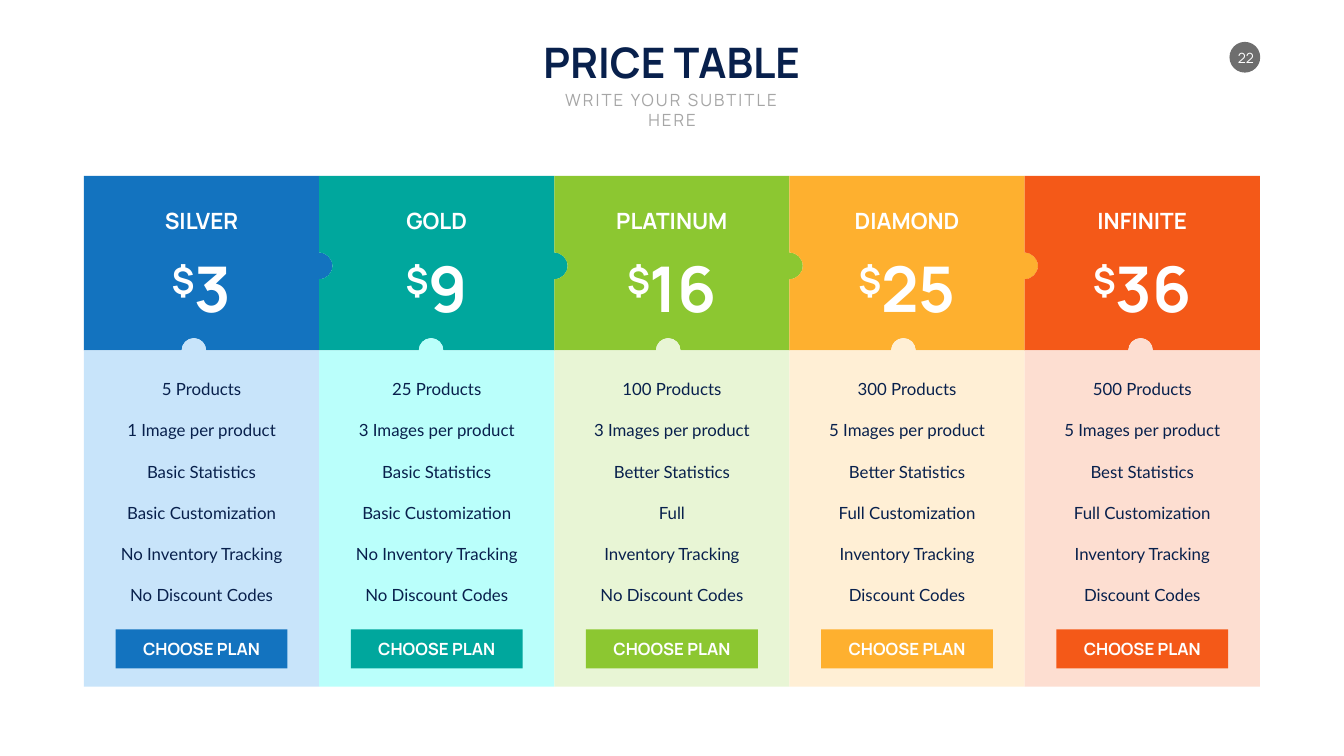
from math import cos, radians, sin

from lxml.etree import Element
from pptx import Presentation
from pptx.dml.color import RGBColor
from pptx.enum.shapes import MSO_SHAPE
from pptx.enum.text import MSO_ANCHOR, MSO_AUTO_SIZE, PP_ALIGN
from pptx.oxml.ns import qn
from pptx.util import Cm, Pt

# Content
TITLE = "PRICE TABLE"
SUBTITLE = "WRITE YOUR SUBTITLE HERE"
PAGE_NUMBER = "22"
BUTTON = "CHOOSE PLAN"

# Colours and fonts
NAVY = RGBColor(0x08, 0x20, 0x4C)
GRAY = RGBColor(0xA6, 0xA6, 0xA6)
DARK_GRAY = RGBColor(0x6E, 0x6E, 0x6E)
WHITE = RGBColor(0xFF, 0xFF, 0xFF)
BLUE = RGBColor(0x13, 0x73, 0xBF)
PALE_BLUE = RGBColor(0xC8, 0xE4, 0xFA)
TEAL = RGBColor(0x00, 0xA7, 0x9D)
PALE_TEAL = RGBColor(0xBA, 0xFF, 0xFB)
GREEN = RGBColor(0x8C, 0xC7, 0x31)
PALE_GREEN = RGBColor(0xE8, 0xF5, 0xD5)
AMBER = RGBColor(0xFE, 0xB0, 0x2F)
PALE_AMBER = RGBColor(0xFF, 0xEF, 0xD5)
ORANGE = RGBColor(0xF4, 0x59, 0x18)
PALE_ORANGE = RGBColor(0xFD, 0xDE, 0xD1)
HEADING_FONT, BODY_FONT = "Manrope", "Lato"

# Name, price, header colour, panel colour, knob offset in cm, features
PLANS = [
    ("SILVER", "3", BLUE, PALE_BLUE, 5.54,
     ["5 Products", "1 Image per product", "Basic Statistics",
      "Basic Customization", "No Inventory Tracking", "No Discount Codes"]),
    ("GOLD", "9", TEAL, PALE_TEAL, 5.64,
     ["25 Products", "3 Images per product", "Basic Statistics",
      "Basic Customization", "No Inventory Tracking", "No Discount Codes"]),
    ("PLATINUM", "16", GREEN, PALE_GREEN, 5.74,
     ["100 Products", "3 Images per product", "Better Statistics",
      "Full", "Inventory Tracking", "No Discount Codes"]),
    ("DIAMOND", "25", AMBER, PALE_AMBER, 5.74,
     ["300 Products", "5 Images per product", "Better Statistics",
      "Full Customization", "Inventory Tracking", "Discount Codes"]),
    ("INFINITE", "36", ORANGE, PALE_ORANGE, 5.84,
     ["500 Products", "5 Images per product", "Best Statistics",
      "Full Customization", "Inventory Tracking", "Discount Codes"]),
]

# Grid, in cm
TABLE_LEFT, COLUMN_WIDTH = 4.23, 11.85
HEADER_TOP, HEADER_BOTTOM, PANEL_BOTTOM = 8.86, 17.66, 34.6
TAB_Y, TAB_RADIUS, KNOB_RADIUS = 13.4, 0.67, 0.62
FEATURE_TOP, FEATURE_PITCH, FEATURE_WIDTH, FEATURE_HEIGHT = 18.82, 2.07, 10.52, 1.37
BUTTON_TOP, BUTTON_WIDTH, BUTTON_HEIGHT = 31.72, 8.66, 1.96
LABEL_WIDTH = 5
KAPPA = 0.55  # handle length of a quarter-circle curve, in radii


def half_circle(center_x, center_y, radius, start, turn):
    """Start point and two quarter curves; turn is 1 clockwise, -1 counter."""
    def at(angle, handle=0):
        c, s = cos(radians(angle)), sin(radians(angle))
        return (center_x + radius * (c - handle * s),
                center_y + radius * (s + handle * c))

    outline = [[at(start)]]
    for angle in (start, start + 90 * turn):
        end = angle + 90 * turn
        outline.append([at(angle, KAPPA * turn), at(end, -KAPPA * turn), at(end)])
    return outline


def add_outline(slide, outline, color):
    """Draw segments: one point is a line, three points are a curve."""
    points = [(Cm(x), Cm(y)) for segment in outline for x, y in segment]
    builder = slide.shapes.build_freeform(*points[0])
    builder.add_line_segments(points[1:], close=True)
    shape = builder.convert_to_shape()
    paint(shape, color)
    lines = iter(list(shape._element.iter(qn("a:lnTo"))))
    for segment in outline[1:]:
        group = [next(lines) for _ in segment]
        if len(group) == 3:
            curve = Element(qn("a:cubicBezTo"))
            group[0].addprevious(curve)
            for line in group:
                curve.append(line[0])
                line.getparent().remove(line)


def paint(shape, color):
    shape.shadow.inherit = False
    shape.fill.solid()
    shape.fill.fore_color.rgb = color
    shape.line.fill.background()


def place(shape, left, top, width, height):
    shape.left, shape.top = Cm(left), Cm(top)
    shape.width, shape.height = Cm(width), Cm(height)


def style(run, size, color, bold, font):
    run.font.size, run.font.bold, run.font.name = Pt(size), bold, font
    run.font.color.rgb = color


def write(shape, text, size, color, bold=False, font=HEADING_FONT,
          wrap=False, anchor=MSO_ANCHOR.MIDDLE):
    """Fill a shape with one centred paragraph and return the paragraph."""
    frame = shape.text_frame
    frame.text = text
    frame.word_wrap = wrap
    frame.auto_size = MSO_AUTO_SIZE.NONE
    frame.vertical_anchor = anchor
    paragraph = frame.paragraphs[0]
    paragraph.alignment = PP_ALIGN.CENTER
    paragraph.space_before = Pt(0)
    style(paragraph.runs[0], size, color, bold, font)
    return paragraph


def add_label(slide, center, top, width, height, *args, **options):
    box = slide.shapes.add_textbox(Cm(center - width / 2), Cm(top), Cm(width), Cm(height))
    return write(box, *args, **options)


def add_filled(slide, kind, left, top, width, height, color):
    shape = slide.shapes.add_shape(kind, Cm(left), Cm(top), Cm(width), Cm(height))
    paint(shape, color)
    return shape


def add_plan(slide, index, plan):
    name, price, color, pale, knob, features = plan
    left = TABLE_LEFT + index * COLUMN_WIDTH
    right, center = left + COLUMN_WIDTH, left + COLUMN_WIDTH / 2

    # Puzzle header: tab on the right, socket on the left, notch below
    is_first, is_last = index == 0, index == len(PLANS) - 1
    tab = [] if is_last else half_circle(right, TAB_Y, TAB_RADIUS, -90, 1)
    socket = [] if is_first else half_circle(left, TAB_Y, TAB_RADIUS, 90, -1)
    notch = half_circle(left + knob, HEADER_BOTTOM, KNOB_RADIUS, 0, -1)
    add_outline(slide, [[(left, HEADER_TOP)], [(right, HEADER_TOP)], *tab,
                        [(right, HEADER_BOTTOM)], *notch,
                        [(left, HEADER_BOTTOM)], *socket], color)

    # Pale panel whose knob fills the notch
    add_outline(slide, [[(right, HEADER_BOTTOM)], *notch, [(left, HEADER_BOTTOM)],
                        [(left, PANEL_BOTTOM)], [(right, PANEL_BOTTOM)]], pale)

    # Name and price
    add_label(slide, center, 10.31, LABEL_WIDTH, 1.63, name, 32, WHITE, bold=True)
    paragraph = add_label(slide, center, 12.45, LABEL_WIDTH, 4.11, "$", 90, WHITE, bold=True)
    paragraph.runs[0].font._element.set("baseline", "30000")
    amount = paragraph.add_run()
    amount.text = price
    style(amount, 90, WHITE, True, HEADING_FONT)

    # Features
    for row, feature in enumerate(features):
        paragraph = add_label(slide, center, FEATURE_TOP + row * FEATURE_PITCH,
                              FEATURE_WIDTH, FEATURE_HEIGHT, feature, 24, NAVY,
                              font=BODY_FONT, wrap=True)
        paragraph.line_spacing = Pt(35)

    # Button
    button = add_filled(slide, MSO_SHAPE.RECTANGLE, center - BUTTON_WIDTH / 2,
                        BUTTON_TOP, BUTTON_WIDTH, BUTTON_HEIGHT, color)
    write(button, BUTTON, 24, WHITE, bold=True)


def main():
    presentation = Presentation()
    presentation.slide_width, presentation.slide_height = Cm(67.72), Cm(38.1)
    slide = presentation.slides.add_slide(presentation.slide_layouts[0])

    # Title and subtitle
    title, subtitle = slide.placeholders
    place(title, 27.08, 1.7, 13.54, 2.82)
    write(title, TITLE, 60, NAVY, bold=True, anchor=MSO_ANCHOR.TOP)
    place(subtitle, 26.97, 4.37, 13.79, 1.27)
    paragraph = write(subtitle, SUBTITLE, 24, GRAY, wrap=True, anchor=MSO_ANCHOR.TOP)
    paragraph.runs[0].font._element.set("spc", "300")

    # Page number
    add_filled(slide, MSO_SHAPE.OVAL, 61.95, 2.11, 1.55, 1.55, DARK_GRAY)
    add_label(slide, 62.78, 2.51, 1.04, 0.86, PAGE_NUMBER, 20, WHITE)

    # Price table
    for index, plan in enumerate(PLANS):
        add_plan(slide, index, plan)

    presentation.save("out.pptx")


if __name__ == "__main__":
    main()
